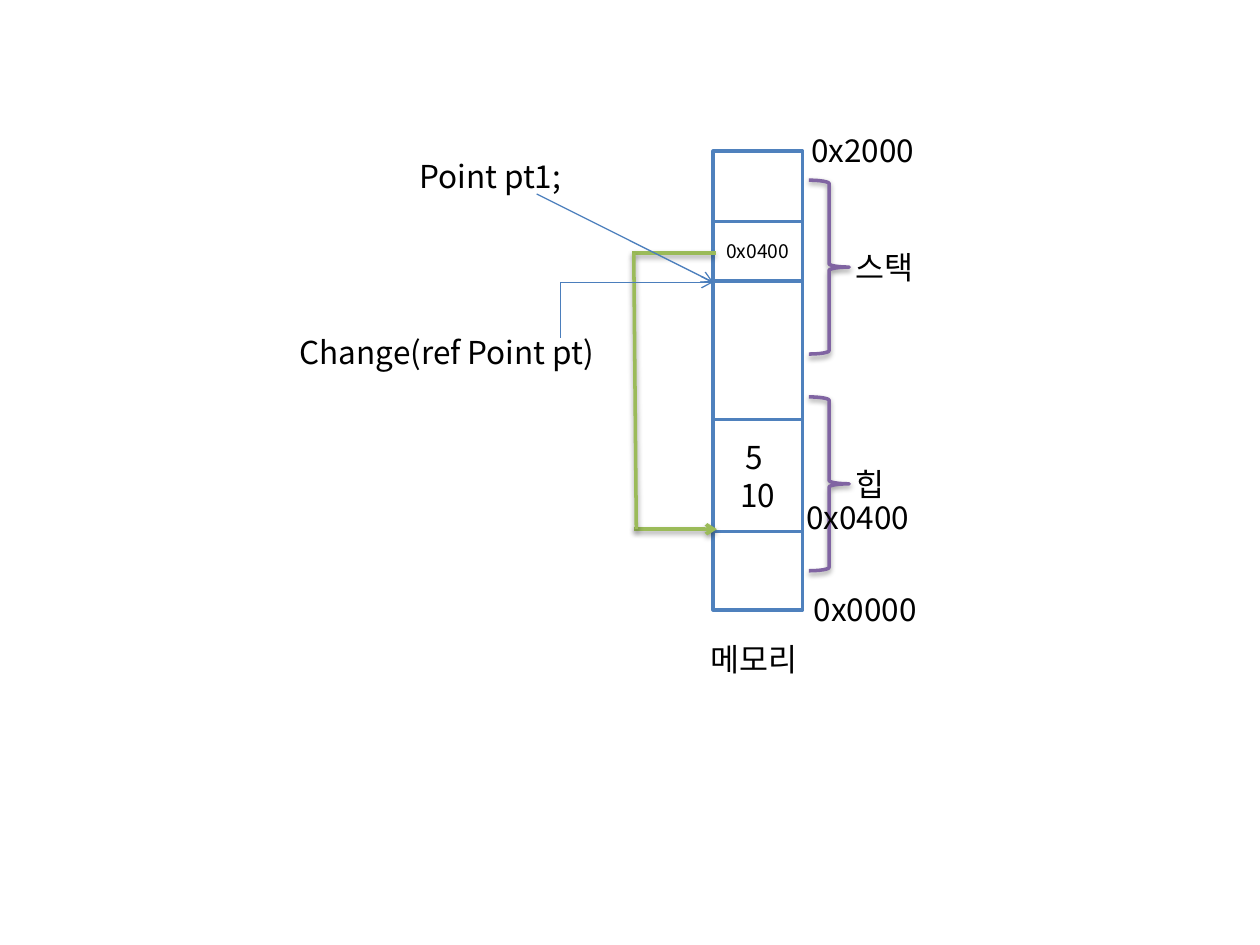
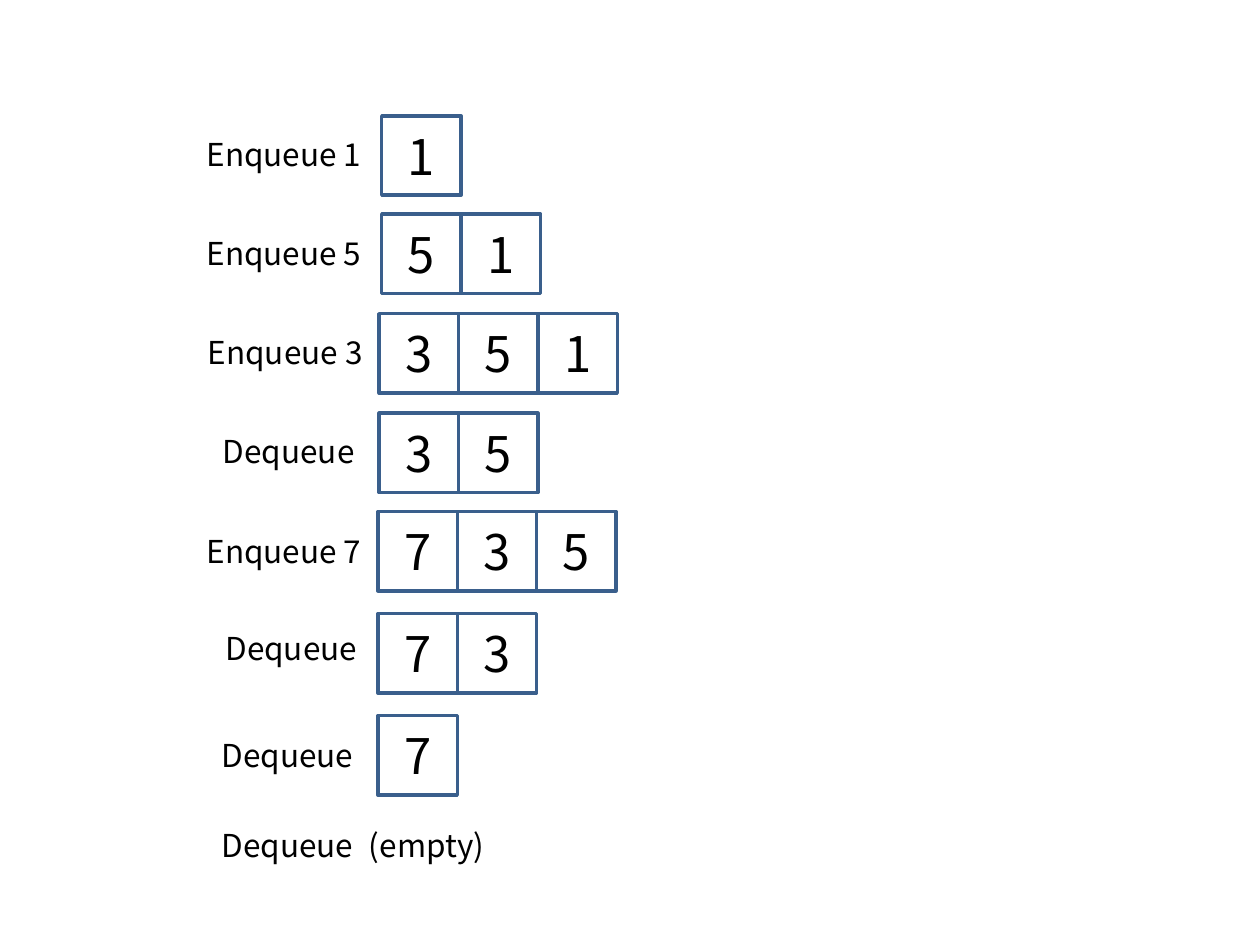
"""Build two slides: references in memory, and the steps of a queue."""
from dataclasses import dataclass

from lxml.etree import SubElement
from pptx import Presentation
from pptx.dml.color import RGBColor
from pptx.enum.shapes import MSO_CONNECTOR, MSO_SHAPE
from pptx.enum.text import MSO_ANCHOR, MSO_AUTO_SIZE, PP_ALIGN
from pptx.oxml.ns import qn
from pptx.util import Inches, Pt


@dataclass(frozen=True)
class Theme:
    face: str = "Noto Sans CJK KR"
    ink: str = "000000"
    paper: str = "FFFFFF"
    blue: str = "4F81BD"
    wire: str = "4B7EBC"
    navy: str = "3A5F8C"
    green: str = "9BBB59"
    violet: str = "8064A2"
    small: int = 11
    body: int = 18
    large: int = 28
    thin: float = 0.75
    thick: int = 2


THEME = Theme()

BAR_LEFT, BAR_WIDTH = 5.66, 0.71
SLOTS = [
    ("", 1.2, 3.64, THEME.body),
    ("0x0400", 1.76, 0.47, THEME.small),
    ("5 \v10", 3.33, 0.89, THEME.body),
]
NOTES = [
    ("Point pt1;", 3.23, 1.2, 3.16),
    ("Change(ref Point pt)", 2.28, 2.59, 2.65),
    ("메모리", 5.54, 5.03, 1.34),
    ("0x2000", 6.34, 0.99, 1.34),
    ("0x0400", 6.3, 3.9, 1.34),
    ("0x0000", 6.36, 4.63, 1.34),
]
ZONES = [("스택", 1.43), ("힙", 3.15)]
WIRES = [
    ((4.26, 1.54), (5.66, 2.24), True),
    ((4.45, 2.24), (5.66, 2.24), True),
    ((4.45, 2.24), (4.45, 2.68), False),
]
LINKS = [
    ((5.03, 4.2), (5.69, 4.2), True),
    ((5.02, 2.01), (5.68, 2.01), False),
    ((5.03, 2.01), (5.05, 4.2), False),
]

CELL = 0.63
STEPS = [
    ("Enqueue 1", 1.54, 1.02, 3.03, 0.92, "1"),
    ("Enqueue 5", 1.54, 1.81, 3.03, 1.7, "51"),
    ("Enqueue 3", 1.55, 2.59, 3.01, 2.49, "351"),
    ("Dequeue", 1.67, 3.38, 3.01, 3.28, "35"),
    ("Enqueue 7", 1.54, 4.17, 3, 4.06, "735"),
    ("Dequeue", 1.69, 4.94, 3, 4.87, "73"),
    ("Dequeue", 1.66, 5.79, 3, 5.68, "7"),
]
LAST = ("Dequeue\t(empty)", 1.66, 6.51, 3.21)
LAST_TAB = 1.17


def write(frame, text, size, align=PP_ALIGN.LEFT, tab=None):
    para = frame.paragraphs[0]
    para.text = text
    para.alignment = align
    props = para._p.get_or_add_pPr()
    if tab:
        stops = SubElement(props, qn("a:tabLst"))
        SubElement(stops, qn("a:tab"), pos=str(Inches(tab)), algn="l")
    font = para.font
    font.name, font.size = THEME.face, Pt(size)
    font.color.rgb = RGBColor.from_string(THEME.ink)
    SubElement(props.find(qn("a:defRPr")), qn("a:ea"), typeface=THEME.face)


def note(slide, text, left, top, width, tab=None):
    box = slide.shapes.add_textbox(*map(Inches, (left, top, width, 0.4)))
    frame = box.text_frame
    frame.word_wrap = True
    frame.auto_size = MSO_AUTO_SIZE.SHAPE_TO_FIT_TEXT
    write(frame, text, THEME.body, tab=tab)


def stroke(shape, color, width):
    shape.line.color.rgb = RGBColor.from_string(color)
    shape.line.width = Pt(width)


def effect(shape, shade):
    props = shape._element.spPr
    for old in props.findall(qn("a:effectLst")):
        props.remove(old)
    group = SubElement(props, qn("a:effectLst"))
    if shade:
        cast = SubElement(group, qn("a:outerShdw"), blurRad="40000",
                          dist="20000", dir="5400000", rotWithShape="0")
        tone = SubElement(cast, qn("a:srgbClr"), val=THEME.ink)
        SubElement(tone, qn("a:alpha"), val="38000")


def figure(slide, kind, place, color, fill=None):
    shape = slide.shapes.add_shape(kind, *map(Inches, place))
    shape.shadow.inherit = False
    if fill:
        shape.fill.solid()
        shape.fill.fore_color.rgb = RGBColor.from_string(fill)
    else:
        shape.fill.background()
    stroke(shape, color, THEME.thick)
    return shape


def cell(slide, text, place, color, size, fill=None):
    frame = figure(slide, MSO_SHAPE.RECTANGLE, place, color, fill).text_frame
    frame.vertical_anchor = MSO_ANCHOR.MIDDLE
    if text:
        write(frame, text, size, PP_ALIGN.CENTER)


def wire(slide, start, end, arrow, color, width, shade=False):
    line = slide.shapes.add_connector(
        MSO_CONNECTOR.STRAIGHT, *map(Inches, start + end))
    stroke(line, color, width)
    if arrow:
        SubElement(line.line._get_or_add_ln(), qn("a:tailEnd"), type="arrow")
    effect(line, shade)


def draw_memory(slide):
    for text, top, height, size in SLOTS:
        place = (BAR_LEFT, top, BAR_WIDTH, height)
        cell(slide, text, place, THEME.blue, size, THEME.paper)
    for link in LINKS:
        wire(slide, *link, THEME.green, THEME.thick, True)
    for item in WIRES:
        wire(slide, *item, THEME.wire, THEME.thin)
    for name, top in ZONES:
        brace = figure(slide, MSO_SHAPE.RIGHT_BRACE,
                       (6.42, top, 0.32, 1.38), THEME.violet)
        effect(brace, True)
        note(slide, name, 6.69, top + 0.49, 1.34)
    for item in NOTES:
        note(slide, *item)


def draw_queue(slide):
    for label, left, top, start, row, values in STEPS:
        note(slide, label, left, top, 1.65)
        for col, value in enumerate(values):
            place = (start + col * CELL, row, CELL, CELL)
            cell(slide, value, place, THEME.navy, THEME.large)
    note(slide, *LAST, tab=LAST_TAB)


def main():
    deck = Presentation()
    deck.slide_width, deck.slide_height = Inches(10), Inches(7.5)
    for draw in (draw_memory, draw_queue):
        draw(deck.slides.add_slide(deck.slide_layouts[6]))
    deck.save("out.pptx")


if __name__ == "__main__":
    main()
